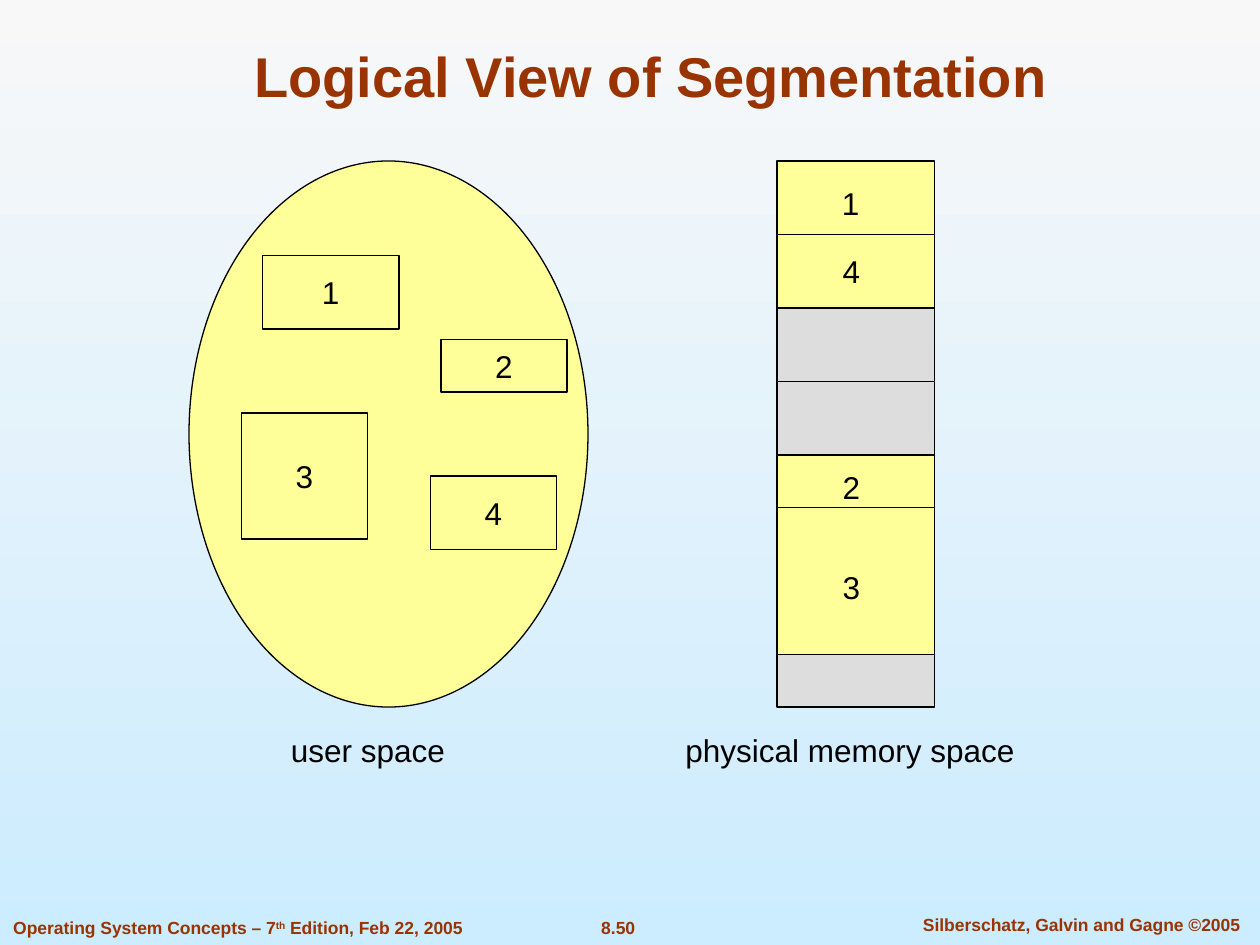
from typing import NamedTuple

from lxml import etree
from pptx import Presentation
from pptx.dml.color import RGBColor
from pptx.enum.shapes import MSO_CONNECTOR, MSO_SHAPE
from pptx.enum.text import MSO_ANCHOR, MSO_AUTO_SIZE, PP_ALIGN
from pptx.oxml.ns import qn
from pptx.util import Pt

RECT, OVAL = MSO_SHAPE.RECTANGLE, MSO_SHAPE.OVAL
LINE = MSO_CONNECTOR.STRAIGHT
LEFT, CENTER = PP_ALIGN.LEFT, PP_ALIGN.CENTER
TOP, MIDDLE, BOTTOM = MSO_ANCHOR.TOP, MSO_ANCHOR.MIDDLE, MSO_ANCHOR.BOTTOM

BLACK = RGBColor(0x00, 0x00, 0x00)
RUST = RGBColor(0x99, 0x33, 0x00)
YELLOW = RGBColor(0xFF, 0xFF, 0x99)
GRAY = RGBColor(0xDD, 0xDD, 0xDD)
WHITE = RGBColor(0xF8, 0xF8, 0xF8)
SKY = RGBColor(0xCC, 0xEC, 0xFF)

TOWER_X, TOWER_Y, TOWER_W = 444, 92, 90


class Box(NamedTuple):
    x: float
    y: float
    w: float
    h: float
    text: str = ""


class Block(NamedTuple):
    """A filled part of physical memory, split at a depth if one is given."""
    h: float
    fill: RGBColor
    split: float = 0


SPACE = Box(108, 92, 228, 312)
SEGMENTS = [
    Box(150, 146, 78, 42, "1"),
    Box(138, 236, 72, 72, "3"),
    Box(252, 194, 72, 30, "2"),
    Box(246, 272, 72, 42, "4"),
]
BLOCKS = [
    Block(84, YELLOW, 42),
    Block(84, GRAY, 42),
    Block(114, YELLOW, 30),
    Block(30, GRAY),
]
MARKS = [
    Box(474, 101.5, 24, 29, text="1"),
    Box(474.5, 140.5, 24, 29, text="4"),
    Box(474.5, 263.5, 24, 29, text="2"),
    Box(474.5, 321, 24, 29, text="3"),
]
CAPTIONS = [
    Box(159, 414, 102.5, 29, "user space"),
    Box(384.5, 414, 202.5, 29, "physical memory space"),
]


def style(frame, size: float, color: RGBColor, bold: bool = False,
          align=CENTER, anchor=MIDDLE) -> None:
    frame.word_wrap = False
    frame.auto_size = MSO_AUTO_SIZE.NONE
    frame.vertical_anchor = anchor
    for para in frame.paragraphs:
        para.alignment = align
        for run in para.runs:
            font = run.font
            font.name, font.size, font.bold = "Arial", Pt(size), bold
            font.color.rgb = color


def place(box: Box) -> tuple:
    return Pt(box.x), Pt(box.y), Pt(box.w), Pt(box.h)


def draw_shape(shapes, kind, box: Box, fill: RGBColor) -> None:
    shape = shapes.add_shape(kind, *place(box))
    shape.shadow.inherit = False
    shape.fill.solid()
    shape.fill.fore_color.rgb = fill
    shape.line.color.rgb = BLACK
    shape.line.width = Pt(0.75)
    if box.text:
        shape.text_frame.text = box.text
        style(shape.text_frame, 18, BLACK)


def draw_rule(shapes, y: float) -> None:
    rule = shapes.add_connector(
        LINE, Pt(TOWER_X), Pt(y), Pt(TOWER_X + TOWER_W), Pt(y))
    rule.line.color.rgb = BLACK
    rule.line.width = Pt(0.75)
    etree.SubElement(rule._element.spPr, qn("a:effectLst"))


def draw_label(shapes, box: Box) -> None:
    frame = shapes.add_textbox(*place(box)).text_frame
    frame.text = box.text
    style(frame, 18, BLACK)


def draw_footer(shapes, box: Box, parts: list[str], align=CENTER) -> None:
    """Write the parts as runs, with every second one raised."""
    frame = shapes.add_textbox(*place(box)).text_frame
    for i, part in enumerate(parts):
        run = frame.paragraphs[0].add_run()
        run.text = part
        if i % 2:
            run._r.get_or_add_rPr().set("baseline", "30000")
    style(frame, 10, RUST, True, align, TOP)


def draw_tower(shapes) -> None:
    y = TOWER_Y
    for block in BLOCKS:
        draw_shape(shapes, RECT, Box(TOWER_X, y, TOWER_W, block.h), block.fill)
        if block.split:
            draw_rule(shapes, y + block.split)
        y += block.h
    for mark in MARKS:
        draw_label(shapes, mark)


def paint_back(slide) -> None:
    fill = slide.background.fill
    fill.gradient()
    fill.gradient_angle = 270
    for stop, color in zip(fill.gradient_stops, (WHITE, SKY)):
        stop.color.rgb = color


def main() -> None:
    deck = Presentation()
    deck.slide_width, deck.slide_height = Pt(720), Pt(540)
    slide = deck.slides.add_slide(deck.slide_layouts[5])
    shapes = slide.shapes
    paint_back(slide)

    title = shapes.title
    title.left, title.top, title.width, title.height = place(
        Box(54, 18, 636, 48))
    title.text_frame.text = "Logical View of Segmentation"
    style(title.text_frame, 32, RUST, True, anchor=BOTTOM)

    draw_shape(shapes, OVAL, SPACE, YELLOW)
    for segment in SEGMENTS:
        draw_shape(shapes, RECT, segment, YELLOW)
    draw_tower(shapes.add_group_shape().shapes)
    for caption in CAPTIONS:
        draw_label(shapes, caption)

    draw_footer(shapes, Box(0.5, 520.5, 271, 19.5),
                ["Operating System Concepts – 7", "th",
                 " Edition, Feb 22, 2005"], LEFT)
    draw_footer(shapes, Box(318, 520.5, 70.5, 19.5), ["8.50"])
    draw_footer(shapes, Box(511, 518.5, 214, 19.5),
                ["Silberschatz, Galvin and Gagne ©2005"])
    deck.save("out.pptx")


if __name__ == "__main__":
    main()
